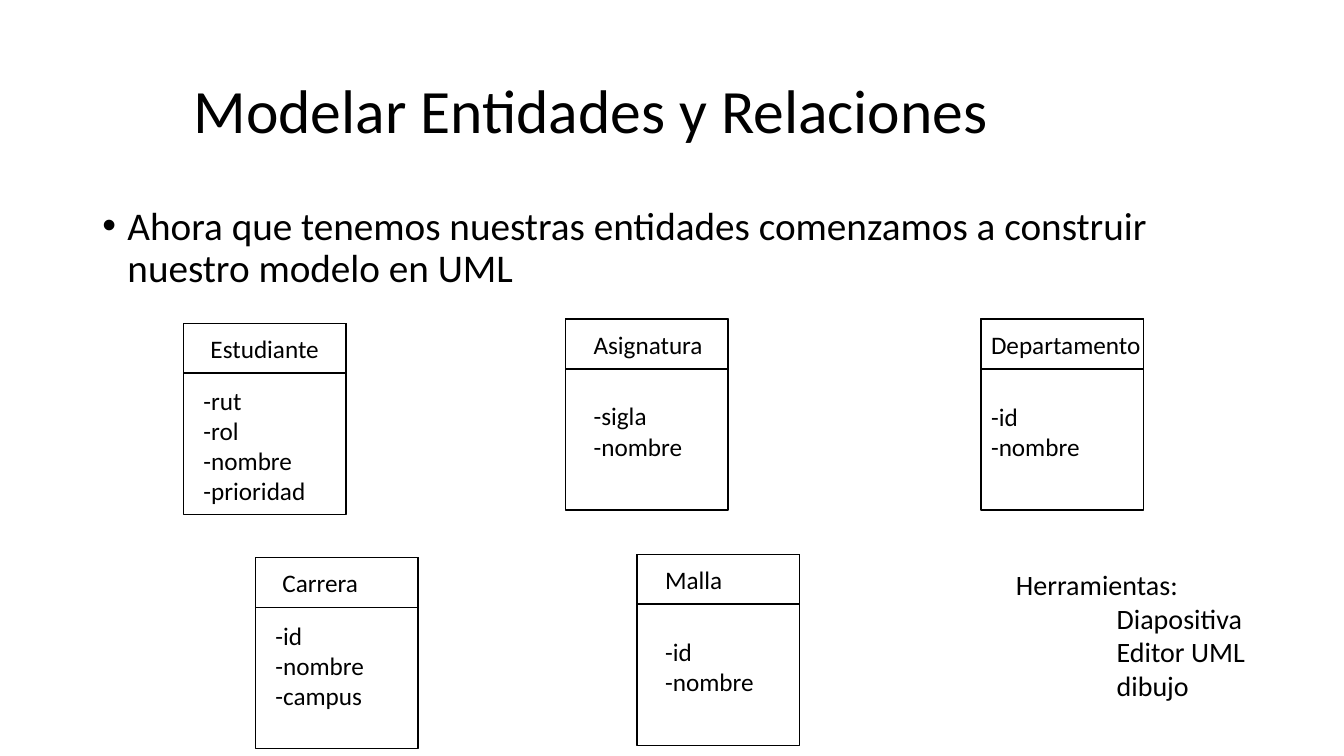
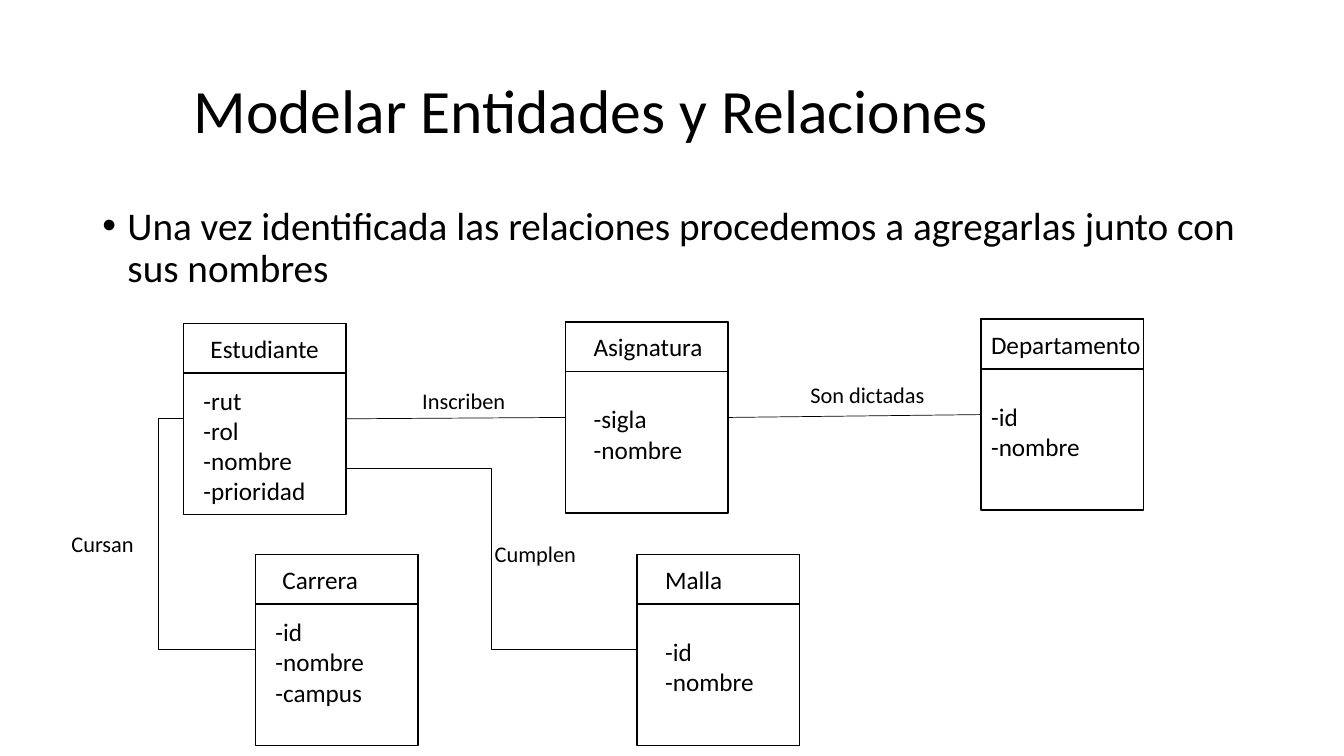
from pptx import Presentation
from pptx import util as u
from pptx.dml import color
from pptx.enum import shapes, text
from pptx.oxml import ns
from lxml import etree

HUES = {"ink": "000000"}
FONT = "Calibri"
COLS, ROWS = 80, 45
CELL = u.Inches(7.5) // ROWS
WIDE, HIGH, HEAD = 9.68, 11.36, 2.96
TITLE = "Modelar Entidades y Relaciones"

NODES = {
    "Estudiante": dict(left=10.92, pad=1.02, inset=0.6, drop=3.36,
                       items=["-rut", "-rol", "-nombre", "-prioridad"]),
    "Asignatura": dict(left=33.66, pad=1.08, inset=1.08, drop=4.56,
                       items=["-sigla", "-nombre"]),
    "Departamento": dict(left=58.4, pad=0, inset=0, drop=4.6,
                         items=["-id", "-nombre"]),
    "Carrera": dict(left=15.2, pad=1.02, inset=0.6, drop=3.4,
                    items=["-id", "-nombre", "-campus"]),
    "Malla": dict(left=37.92, pad=1.08, inset=1.08, drop=4.56,
                  items=["-id", "-nombre"]),
}
TOPS = {"Estudiante": 19.25, "Asignatura": 19, "Departamento": 19,
        "Carrera": 33.2, "Malla": 33}
LABELS = [("Inscriben", 24.54, 22.74), ("Cursan", 3.66, 31.26),
          ("Cumplen", 28.86, 31.86), ("Son dictadas", 47.64, 22.38)]


def grid(*cells):
    return [u.Emu(round(cell * CELL)) for cell in cells]


def ink():
    return color.RGBColor.from_string(HUES["ink"])


def write(slide, lines, left, top, wide, high, size=18, space=None,
          bullet=False, middle=False, indent=0):
    frame = slide.shapes.add_textbox(*grid(left, top, wide, high)).text_frame
    frame.word_wrap = True
    if middle:
        frame.vertical_anchor = text.MSO_ANCHOR.MIDDLE
    for index, line in enumerate(lines):
        para = frame.paragraphs[0] if index == 0 else frame.add_paragraph()
        props = para._p.get_or_add_pPr()
        if bullet:
            props.set("marL", str(u.Inches(0.25)))
            props.set("indent", str(-u.Inches(0.25)))
            etree.SubElement(props, ns.qn("a:buFont")).set("typeface", "Arial")
            etree.SubElement(props, ns.qn("a:buChar")).set("char", "•")
        elif indent and index:
            props.set("marL", str(grid(indent)[0]))
        if space:
            para.line_spacing = space
        run = para.add_run()
        run.text = line
        run.font.size = u.Pt(size)
        run.font.name = FONT
        run.font.color.rgb = ink()


def box(slide, left, top, high):
    rect = slide.shapes.add_shape(shapes.MSO_SHAPE.RECTANGLE,
                                  *grid(left, top, WIDE, high))
    rect.shadow.inherit = False
    rect.fill.background()
    rect.line.color.rgb = ink()
    rect.line.width = u.Pt(1)
    return rect


def node(slide, name, top):
    item = NODES[name]
    left = item["left"]
    frame = box(slide, left, top, HIGH)
    box(slide, left, top, HEAD)
    write(slide, [name], left + item["pad"], top + 0.28, 10.38, 2.4)
    write(slide, item["items"], left + item["inset"], top + item["drop"],
          7.74, HIGH - item["drop"])
    return frame


def link(slide, kind, start, end):
    line = slide.shapes.add_connector(kind, *start, *end)
    line.line.color.rgb = ink()
    line.line.width = u.Pt(0.5)
    etree.SubElement(line._element.spPr, ns.qn("a:effectLst"))
    return line


def join(slide, first, last):
    start = first.left + first.width, first.top + first.height // 2
    end = last.left, last.top + last.height // 2
    line = link(slide, shapes.MSO_CONNECTOR.STRAIGHT, start, end)
    line.begin_connect(first, 3)
    line.end_connect(last, 1)


def bend(slide, start, end, share=0.5):
    line = link(slide, shapes.MSO_CONNECTOR.ELBOW, start, end)
    geom = line._element.spPr.find(ns.qn("a:prstGeom"))
    guides = geom.find(ns.qn("a:avLst"))
    if guides is None:
        guides = etree.SubElement(geom, ns.qn("a:avLst"))
    guide = etree.SubElement(guides, ns.qn("a:gd"))
    guide.set("name", "adj1")
    guide.set("fmla", f"val {round(share * 100000)}")


def page(deck, point, tops):
    slide = deck.slides.add_slide(deck.slide_layouts[6])
    write(slide, [TITLE], 10.92, 2.4, 63.54, 8.7, size=44, space=0.9,
          middle=True)
    write(slide, [point], 5.5, 12, 69, 6.66, size=28, space=0.9, bullet=True)
    return slide, {name: node(slide, name, top) for name, top in tops.items()}


def tools(slide):
    write(slide, ["Herramientas:", "Diapositiva", "Editor UML", "dibujo"],
          59.88, 33.48, 16.44, 10.5, size=20, indent=6)


def ties(slide, nodes):
    pupil, course, branch, career, plan = (
        nodes[name] for name in NODES)
    join(slide, pupil, course)
    join(slide, course, branch)
    side = lambda rect: (rect.left, rect.top + rect.height // 2)
    bend(slide, side(pupil), side(career), -0.35)
    exit = pupil.left + pupil.width, grid(27.9)[0]
    bend(slide, exit, side(plan))
    for label, left, top in LABELS:
        write(slide, [label], left, top, 8.34, 2.22, size=16)


def main():
    deck = Presentation()
    deck.slide_width, deck.slide_height = grid(COLS, ROWS)
    slide, _ = page(deck, "Ahora que tenemos nuestras entidades comenzamos a "
                    "construir nuestro modelo en UML", TOPS)
    tools(slide)
    slide, nodes = page(deck, "Una vez identificada las relaciones procedemos "
                        "a agregarlas junto con sus nombres",
                        {**TOPS, "Asignatura": 19.17, "Carrera": 33})
    ties(slide, nodes)
    deck.save("out.pptx")


if __name__ == "__main__":
    main()
